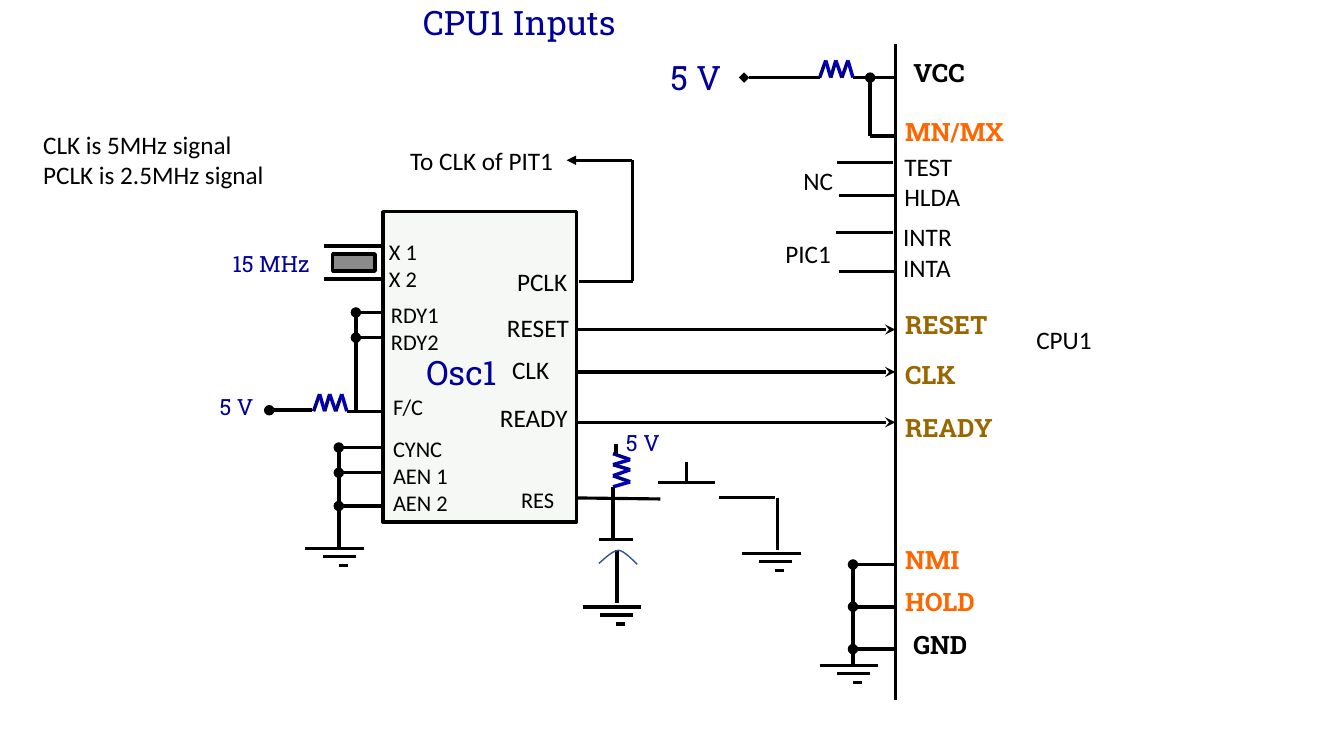
"""Build the CPU inputs circuit slide: a clock generator wired to a processor."""
from lxml.etree import SubElement
from pptx import Presentation
from pptx.dml.color import RGBColor
from pptx.enum.shapes import MSO_CONNECTOR, MSO_SHAPE
from pptx.enum.text import MSO_ANCHOR, PP_ALIGN
from pptx.oxml.ns import qn
from pptx.util import Pt

PX = 9144
COLORS = {
    "black": "000000", "label": "000099", "strap": "FF6600", "clock": "996600",
    "zig": "000080", "zag": "0000BC", "chip": "3B812F", "crystal": "333333",
    "plate": "325491",
}
RGB = {name: RGBColor.from_string(value) for name, value in COLORS.items()}
SLAB, SANS = "Roboto Slab", "Calibri"

deck = Presentation()
deck.slide_width, deck.slide_height = 1333 * PX, 750 * PX
page = deck.slides.add_slide(deck.slide_layouts[6])


def write(text, left, top, width, height, size=18, font=SANS, color="black",
          bold=False, align=PP_ALIGN.LEFT, wrap=True):
    box = page.shapes.add_textbox(left * PX, top * PX, width * PX, height * PX)
    frame = box.text_frame
    frame.word_wrap = wrap
    frame.vertical_anchor = MSO_ANCHOR.TOP
    for number, line in enumerate(text.split("\n")):
        para = frame.add_paragraph() if number else frame.paragraphs[0]
        para.alignment = align
        span = para.add_run()
        span.text = line
        span.font.size, span.font.name, span.font.bold = Pt(size), font, bold
        span.font.color.rgb = RGB[color]


def wire(x1, y1, x2, y2, weight=2.5, color="black", tail=None, parent=page):
    line = parent.shapes.add_connector(
        MSO_CONNECTOR.STRAIGHT, x1 * PX, y1 * PX, x2 * PX, y2 * PX)
    line.line.width = Pt(weight)
    line.line.color.rgb = RGB[color]
    properties = line._element.spPr
    if tail:
        SubElement(properties.find(qn("a:ln")), qn("a:tailEnd"), type=tail)
    SubElement(properties, qn("a:effectLst"))


wire(888, 44, 888, 694)
for y in (327, 369, 419):
    wire(571, y, 888, y, tail="stealth")

for name, left, top, width, height, opacity in (
        ("chip", 380, 210, 192, 308, 5), ("crystal", 330, 252, 42, 17, 57)):
    block = page.shapes.add_shape(
        MSO_SHAPE.RECTANGLE, left * PX, top * PX, width * PX, height * PX)
    block.shadow.inherit = False
    block.fill.solid()
    block.fill.fore_color.rgb = RGB[name]
    tint = block._element.spPr.find(qn("a:solidFill")).find(qn("a:srgbClr"))
    SubElement(tint, qn("a:alpha"), val=str(opacity * 1000))
    block.line.color.rgb = RGB["black"]
    block.line.width = Pt(2.5)

for x, y, right in ((846, 560, 888), (846, 602, 888), (846, 644, 888),
                    (336, 444, 378), (336, 469, 378), (336, 502, 378),
                    (353, 310, 382), (353, 335, 378), (267, 407, 309)):
    wire(right, y, x, y, tail="oval")
wire(863, 135, 863, 77, tail="oval")
wire(813, 77, 738, 77, tail="diamond")

for x1, y1, x2, y2 in ((846, 560, 846, 660), (336, 444, 336, 544),
                       (353, 310, 353, 410), (846, 77, 888, 77),
                       (863, 135, 888, 135), (344, 408, 380, 408),
                       (321, 244, 380, 244), (321, 277, 380, 277)):
    wire(x1, y1, x2, y2)

for x1, y1, x2, y2 in (
        (571, 494, 655, 495), (608, 483, 608, 535), (611, 440, 611, 452),
        (594, 535, 628, 535), (612, 546, 612, 598), (713, 494, 769, 494),
        (653, 479, 709, 479), (771, 494, 771, 546), (681, 458, 681, 479),
        (830, 161, 886, 161), (832, 194, 889, 194), (829, 231, 886, 231),
        (832, 269, 889, 269), (574, 279, 628, 279), (627, 279, 627, 159)):
    wire(x1, y1, x2, y2, weight=2.25)
wire(627, 159, 562, 159, weight=2.25, tail="triangle")

for x, y in ((813, 660), (303, 544), (578, 602), (736, 549)):
    for start, end, drop in ((0, 58, 0), (17, 50, 8), (33, 42, 17)):
        wire(x + start, y + drop, x + end, y + drop)

for x, y, upright in ((813, 77, False), (311, 408, False), (608, 450, True)):
    resistor = page.shapes.add_group_shape()
    steps = [(round(i * 5.5), 17 * (i % 2)) for i in range(7)]
    points = [(x + side, y + along) if upright else (x + along, y - side)
              for along, side in steps]
    for i in range(6):
        wire(*points[i], *points[i + 1], color=("zig", "zag")[i % 2],
             parent=resistor)

curve = []
for a, b, c, d in (((594, 559), (601, 553), (608, 546), (614, 546)),
                   ((614, 546), (620, 547), (632, 560), (632, 560))):
    for t in [i / 10 for i in range(11)]:
        u = 1 - t
        curve.append([PX * (u**3 * a[k] + 3 * u * u * t * b[k]
                            + 3 * u * t * t * c[k] + t**3 * d[k])
                      for k in (0, 1)])
builder = page.shapes.build_freeform(*curve[0], scale=1.0)
builder.add_line_segments(curve[1:], close=False)
plate = builder.convert_to_shape()
plate.shadow.inherit = False
plate.fill.background()
plate.line.color.rgb = RGB["plate"]
plate.line.width = Pt(1)

for text, left, top, color in (
        ("VCC", 896, 52, "black"), ("MN/MX", 888, 110, "strap"),
        ("RESET", 888, 302, "clock"), ("CLK", 888, 352, "clock"),
        ("READY", 888, 404, "clock"), ("NMI", 888, 535, "strap"),
        ("HOLD", 888, 577, "strap"), ("GND", 896, 619, "black")):
    write(text, left, top, 150, 40, font=SLAB, color=color, bold=True)

for text, left, top, width, height, size in (
        ("5 V", 655, 52, 158, 50, 24), ("Osc1", 413, 344, 142, 50, 24),
        ("15 MHz", 221, 243, 150, 37, 16), ("5 V", 208, 385, 112, 37, 16),
        ("5 V", 611, 421, 112, 37, 16)):
    write(text, left, top, width, height, size=size, font=SLAB, color="label")
write("CPU1 Inputs", 244, -3, 542, 50, size=24, font=SLAB, color="label",
      align=PP_ALIGN.CENTER)

for text, left, top, width, height, size in (
        ("X 1\nX 2", 376, 231, 54, 64, 16),
        ("RDY1\nRDY2", 378, 294, 73, 64, 16),
        ("F/C", 380, 385, 53, 37, 16),
        ("CYNC\nAEN 1\nAEN 2", 380, 427, 83, 91, 16),
        ("RES", 507, 477, 55, 37, 16),
        ("TEST\nHLDA", 887, 145, 85, 71, 18),
        ("INTR\nINTA", 886, 215, 77, 71, 18),
        ("PIC1", 769, 232, 71, 40, 18), ("NC", 787, 159, 58, 40, 18),
        ("RESET", 493, 305, 82, 71, 18), ("CLK", 498, 347, 58, 71, 18),
        ("READY", 486, 394, 88, 40, 18)):
    write(text, left, top, width, height, size=size, wrap=False)

for text, left, top, width, height in (
        ("PCLK", 503, 259, 71, 40), ("CPU1", 1018, 317, 107, 40),
        ("To CLK of PIT1", 397, 139, 174, 40),
        ("CLK is 5MHz signal\nPCLK is 2.5MHz signal", 33, 123, 337, 71)):
    write(text, left, top, width, height)

deck.save("out.pptx")
